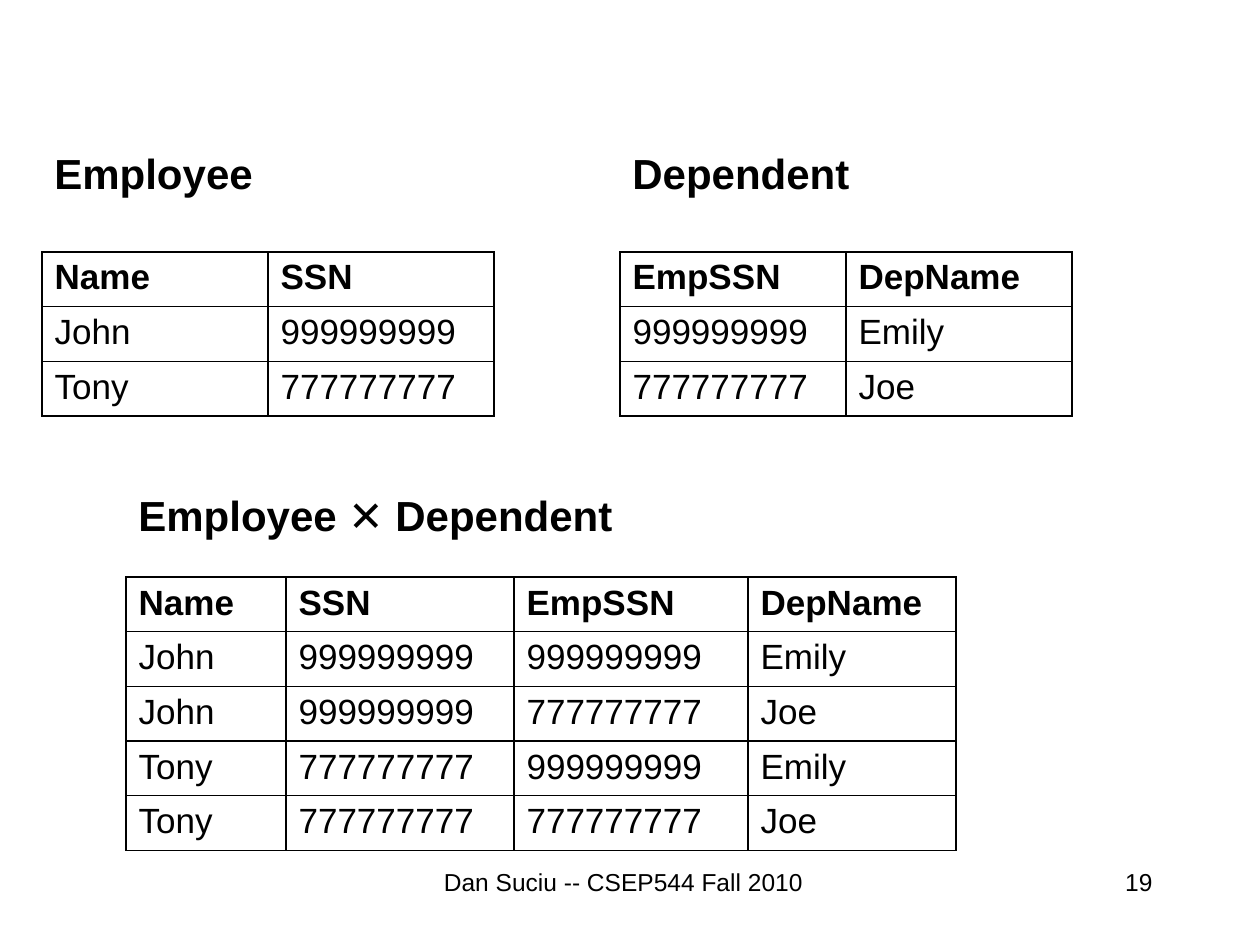
from itertools import product

from lxml import etree
from pptx import Presentation
from pptx.dml.color import RGBColor
from pptx.enum.text import MSO_AUTO_SIZE, PP_ALIGN
from pptx.oxml.ns import qn
from pptx.util import Pt

PX = 914400 / 126
LEFT, CENTER, RIGHT = PP_ALIGN.LEFT, PP_ALIGN.CENTER, PP_ALIGN.RIGHT
FIT_SHAPE, NO_FIT = MSO_AUTO_SIZE.SHAPE_TO_FIT_TEXT, MSO_AUTO_SIZE.NONE
THEME = {
    "font": "Arial",
    "ink": "000000",
    "heading": Pt(24),
    "cell": Pt(20),
    "footer": Pt(14),
    "border": Pt(1),
}
ROW_HEIGHT = 164 / 3  # three rows fill 164 px


def px(*lengths):
    return [round(length * PX) for length in lengths]


def write(paragraph, text, size, bold=False, align=LEFT):
    paragraph.text = text
    paragraph.alignment = align
    font = paragraph.font
    font.name, font.size, font.bold = THEME["font"], size, bold
    font.color.rgb = RGBColor.from_string(THEME["ink"])


prs = Presentation()
prs.slide_width, prs.slide_height = px(1260, 945)
slide = prs.slides.add_slide(prs.slide_layouts[6])

employees = [("John", "999999999"), ("Tony", "777777777")]
dependents = [("999999999", "Emily"), ("777777777", "Joe")]
employee_header, dependent_header = ("Name", "SSN"), ("EmpSSN", "DepName")
pairs = [employee + dependent for employee, dependent in product(employees, dependents)]

# heading, left, heading top, heading width, table top, column widths, rows
relations = [
    ("Employee", 42, 141, 226, 252, (226, 226), [employee_header, *employees]),
    ("Dependent", 620, 141, 244, 252, (226, 226), [dependent_header, *dependents]),
    ("Employee ✕ Dependent", 126, 483, 500, 577, (160, 228, 234, 208),
     [employee_header + dependent_header, *pairs]),
]
for heading, left, heading_top, heading_width, top, widths, rows in relations:
    frame = slide.shapes.add_textbox(*px(left, heading_top, heading_width, 63)).text_frame
    frame.word_wrap = False
    frame.auto_size = FIT_SHAPE
    write(frame.paragraphs[0], heading, THEME["heading"], bold=True)

    table = slide.shapes.add_table(
        len(rows), len(widths), *px(left, top, sum(widths), ROW_HEIGHT * len(rows))
    ).table
    table.first_row = table.horz_banding = False
    for column, width in zip(table.columns, px(*widths)):
        column.width = width
    for r, values in enumerate(rows):
        table.rows[r].height = px(ROW_HEIGHT)[0]
        for c, value in enumerate(values):
            cell = table.cell(r, c)
            write(cell.text_frame.paragraphs[0], value, THEME["cell"], bold=r == 0)
            properties = cell._tc.get_or_add_tcPr()
            for side in ("a:lnL", "a:lnR", "a:lnT", "a:lnB"):
                border = etree.SubElement(properties, qn(side), w=str(THEME["border"]))
                fill = etree.SubElement(border, qn("a:solidFill"))
                etree.SubElement(fill, qn("a:srgbClr"), val=THEME["ink"])
            cell.fill.background()

for text, left, width, align in [
    ("Dan Suciu -- CSEP544 Fall 2010", 424, 399, CENTER),
    ("19", 903, 262, RIGHT),
]:
    frame = slide.shapes.add_textbox(*px(left, 861, width, 63)).text_frame
    frame.word_wrap = True
    frame.auto_size = NO_FIT
    write(frame.paragraphs[0], text, THEME["footer"], align=align)

prs.save("out.pptx")
